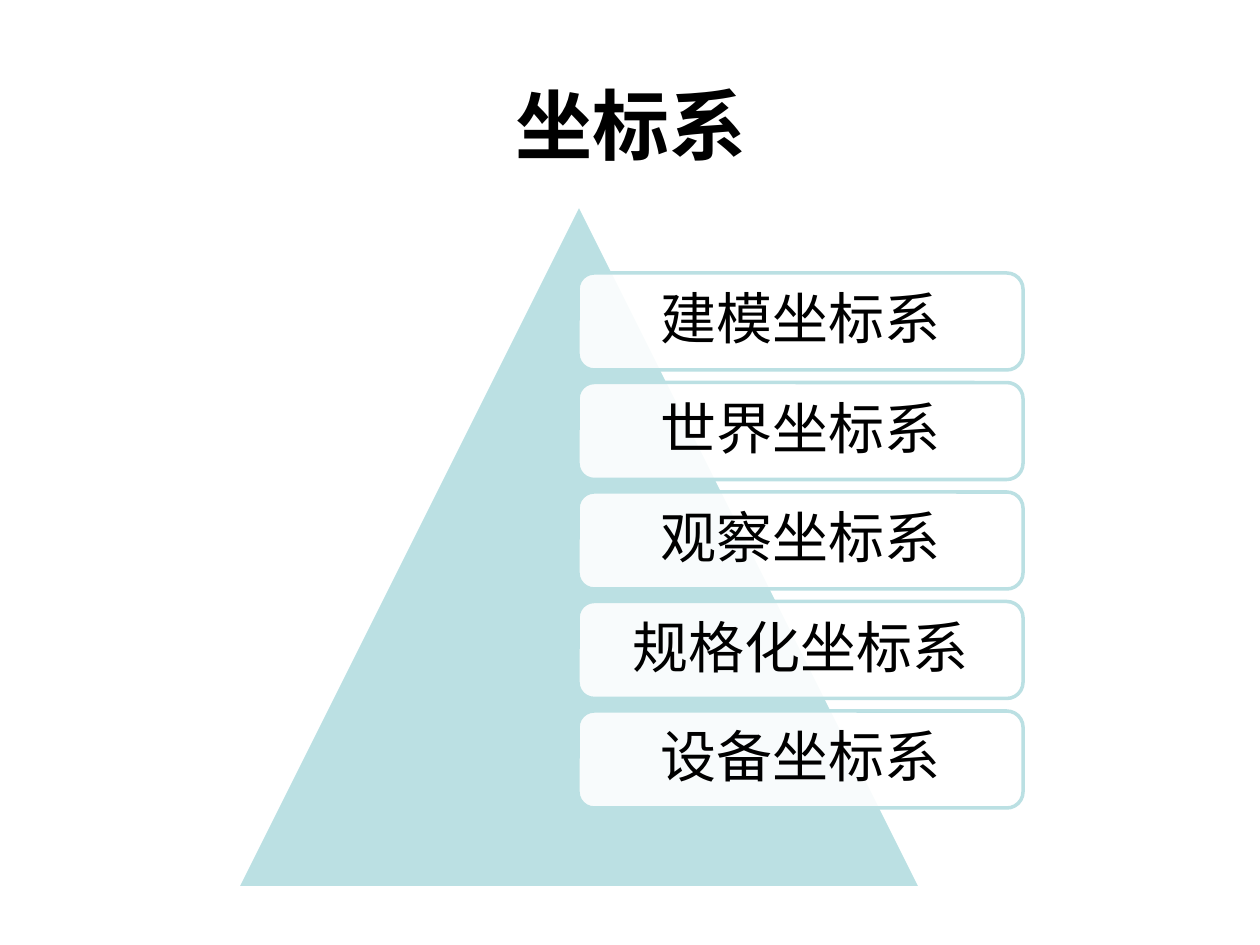
"""Build the coordinate systems slide: a triangle overlaid by five labelled cards."""
from lxml.etree import SubElement
from pptx import Presentation
from pptx.dml.color import RGBColor
from pptx.enum.shapes import MSO_SHAPE as Shape
from pptx.enum.text import MSO_ANCHOR as Anchor, PP_ALIGN as Align
from pptx.oxml.ns import qn
from pptx.util import Emu, Pt

TITLE = "坐标系"
SYSTEMS = ["建模坐标系", "世界坐标系", "观察坐标系", "规格化坐标系", "设备坐标系"]

THEME = {
    "font": "Noto Sans CJK SC",
    "ink": RGBColor(0, 0, 0),
    "paper": RGBColor(255, 255, 255),
    "teal": RGBColor(0xBB, 0xE0, 0xE3),
    "title_size": Pt(44),
    "card_size": Pt(32),
    "line_width": Pt(2),
    "card_alpha": 90,
}

PAGE_WIDTH, PAGE_HEIGHT = 1260, 945
TITLE_AREA = (64, 65, 1134, 118)
TRIANGLE_AREA = (237, 204, 684, 684)
STACK_LEFT, STACK_TOP, STACK_BOTTOM = 578, 273, 808
CARD_WIDTH, CARD_HEIGHT = 445, 97
CARD_INSET = 21


def px(length):
    return Emu(round(length * 914400 / 126))


def set_all(target, values):
    for name, value in values.items():
        setattr(target, name, value)


def write(box, text, size, bold=False, spacing=None, inset=0):
    frame = box.text_frame
    set_all(frame, {
        "word_wrap": True, "vertical_anchor": Anchor.MIDDLE,
        "margin_left": px(inset), "margin_right": px(inset),
        "margin_top": 0, "margin_bottom": 0,
    })
    para = frame.paragraphs[0]
    set_all(para, {"alignment": Align.CENTER, "line_spacing": spacing})
    span = para.add_run()
    span.text = text
    set_all(span.font, {"name": THEME["font"], "size": size, "bold": bold})
    span.font.color.rgb = THEME["ink"]
    SubElement(span.font._element, qn("a:ea"), typeface=THEME["font"])


def add_shape(page, kind, area, fill, line):
    shape = page.shapes.add_shape(kind, *map(px, area))
    shape.shadow.inherit = False
    shape.fill.solid()
    shape.fill.fore_color.rgb = fill
    shape.line.color.rgb = line
    shape.line.width = THEME["line_width"]
    return shape


def add_card(page, top, text):
    area = (STACK_LEFT, top, CARD_WIDTH, CARD_HEIGHT)
    card = add_shape(page, Shape.ROUNDED_RECTANGLE, area, THEME["paper"], THEME["teal"])
    color = card._element.spPr.find(qn("a:solidFill")).find(qn("a:srgbClr"))
    SubElement(color, qn("a:alpha"), val=str(THEME["card_alpha"] * 1000))
    write(card, text, THEME["card_size"], spacing=0.9, inset=CARD_INSET)


def main():
    deck = Presentation()
    set_all(deck, {"slide_width": px(PAGE_WIDTH), "slide_height": px(PAGE_HEIGHT)})
    page = deck.slides.add_slide(deck.slide_layouts[6])
    title = page.shapes.add_textbox(*map(px, TITLE_AREA))
    write(title, TITLE, THEME["title_size"], bold=True)
    add_shape(page, Shape.ISOSCELES_TRIANGLE, TRIANGLE_AREA, THEME["teal"], THEME["paper"])
    step = (STACK_BOTTOM - CARD_HEIGHT - STACK_TOP) / (len(SYSTEMS) - 1)
    for index, name in enumerate(SYSTEMS):
        add_card(page, STACK_TOP + index * step, name)
    deck.save("out.pptx")


if __name__ == "__main__":
    main()
